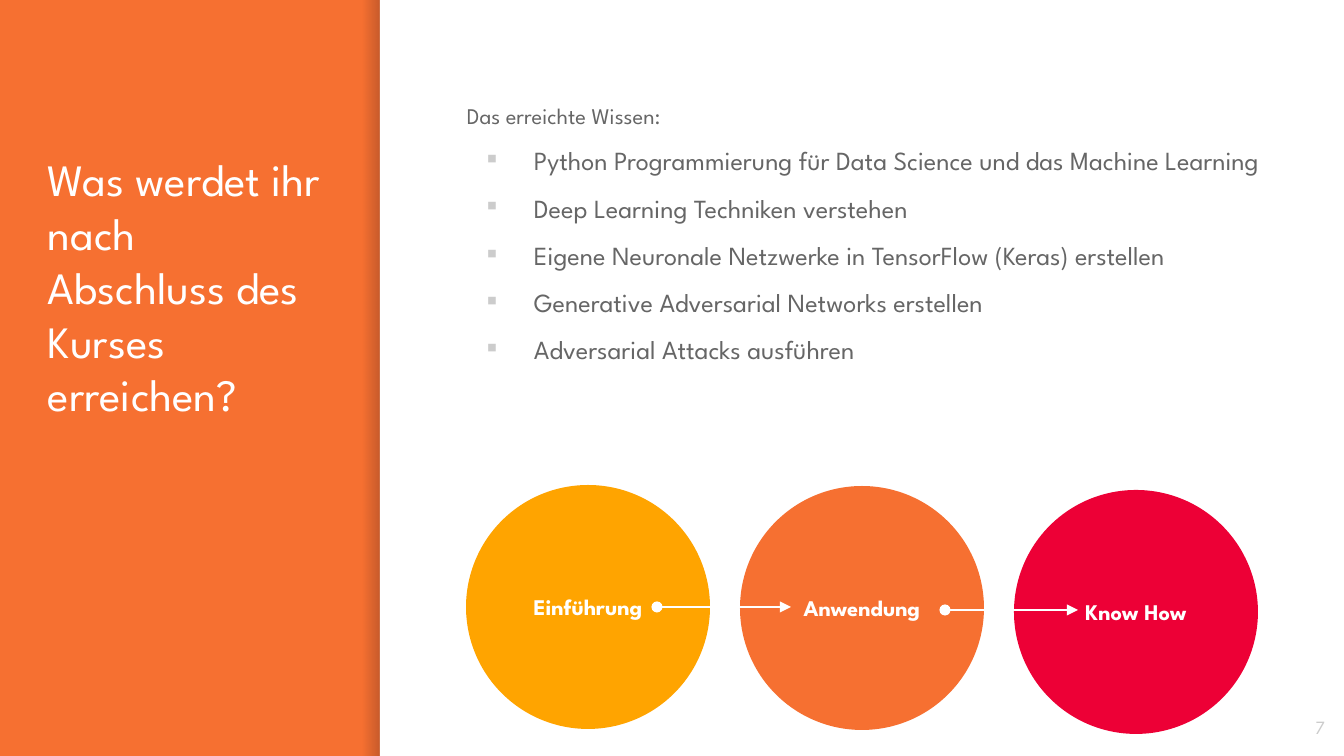
from dataclasses import dataclass

import pptx
import pptx.util
from lxml import etree
from pptx.dml.color import RGBColor
from pptx.enum.shapes import MSO_CONNECTOR, MSO_SHAPE
from pptx.enum.text import MSO_ANCHOR, PP_ALIGN
from pptx.oxml.ns import qn
from pptx.shapes.autoshape import Shape
from pptx.slide import Slide
from pptx.text.text import TextFrame, _Paragraph

WIDE, HIGH = 1344, 756
SCALE = 9144000 / WIDE
FONT = "League Spartan"
COLORS = {
    "orange": "F67031",
    "amber": "FFA400",
    "red": "ED0036",
    "white": "FFFFFF",
    "text": "666666",
    "pale": "CCCCCC",
    "shade": "000014",
}
SIZE, STEP = 244, 274
TITLE = "Was werdet ihr nach Abschluss des Kurses erreichen?"
INTRO = "Das erreichte Wissen:"
GOALS = [
    "Python Programmierung für Data Science und das Machine Learning",
    "Deep Learning Techniken verstehen",
    "Eigene Neuronale Netzwerke in TensorFlow (Keras) erstellen",
    "Generative Adversarial Networks erstellen",
    "Adversarial Attacks ausführen",
]


@dataclass
class Box:
    left: int
    top: int
    width: int
    height: int


@dataclass
class Stage:
    label: str
    color: str
    top: int


@dataclass
class Arrow:
    start: int
    end: int
    y: int


STAGES = [
    Stage("Einführung", "amber", 485),
    Stage("Anwendung", "orange", 486),
    Stage("Know How", "red", 490),
]
ARROWS = [Arrow(657, 791, 607), Arrow(945, 1078, 610)]


def px(count: int) -> pptx.util.Emu:
    return pptx.util.Emu(round(count * SCALE))


def place(box: Box) -> tuple[pptx.util.Emu, ...]:
    return px(box.left), px(box.top), px(box.width), px(box.height)


def color(name: str) -> RGBColor:
    return RGBColor.from_string(COLORS[name])


def style(para: _Paragraph, size: int, name: str, bold: bool = False) -> None:
    for run in para.runs:
        run.font.name = FONT
        run.font.size = pptx.util.Pt(size)
        run.font.bold = bold
        run.font.color.rgb = color(name)


def setup(frame: TextFrame, anchor: MSO_ANCHOR) -> None:
    """Wrap the text and give it even insets."""
    frame.word_wrap = True
    frame.vertical_anchor = anchor
    frame.margin_left = frame.margin_right = px(13)
    frame.margin_top = frame.margin_bottom = px(13)


def add_text(slide: Slide, box: Box, text: str, size: int, name: str,
             anchor: MSO_ANCHOR = MSO_ANCHOR.TOP,
             align: PP_ALIGN = PP_ALIGN.LEFT) -> TextFrame:
    frame = slide.shapes.add_textbox(*place(box)).text_frame
    setup(frame, anchor)
    frame.text = text
    frame.paragraphs[0].alignment = align
    style(frame.paragraphs[0], size, name)
    return frame


def add_shape(slide: Slide, kind: MSO_SHAPE, box: Box, name: str) -> Shape:
    shape = slide.shapes.add_shape(kind, *place(box))
    shape.shadow.inherit = False
    shape.fill.solid()
    shape.fill.fore_color.rgb = color(name)
    shape.line.fill.background()
    return shape


def add_shade(slide: Slide, box: Box) -> None:
    """Draw a strip that darkens from clear to 20 % at its right edge."""
    shape = add_shape(slide, MSO_SHAPE.RECTANGLE, box, "shade")
    shape.fill.gradient()
    shape.fill.gradient_angle = 0
    for stop, alpha in zip(shape.fill.gradient_stops, (0, 20)):
        stop.color.rgb = color("shade")
        tone = list(shape.element.iter(qn("a:srgbClr")))[-1 if alpha else 0]
        etree.SubElement(tone, qn("a:alpha"), val=str(alpha * 1000))


def add_bullet(para: _Paragraph) -> None:
    props = para._p.get_or_add_pPr()
    props.set("marL", str(px(67)))
    props.set("indent", str(px(-47)))
    tint = etree.SubElement(props, qn("a:buClr"))
    etree.SubElement(tint, qn("a:srgbClr"), val=COLORS["pale"])
    etree.SubElement(props, qn("a:buFont"), typeface=FONT)
    etree.SubElement(props, qn("a:buChar"), char="▪")


def add_goals(slide: Slide) -> None:
    frame = add_text(slide, Box(454, 85, 823, 406), INTRO, 12, "text")
    frame.paragraphs[0].line_spacing = 1.15
    for goal in GOALS:
        para = frame.add_paragraph()
        para.text = goal
        add_bullet(para)
        para.line_spacing = 1.15
        para.space_before = pptx.util.Pt(6)
        style(para, 14, "text")


def add_stage(slide: Slide, stage: Stage, left: int) -> None:
    box = Box(left, stage.top, SIZE, SIZE)
    shape = add_shape(slide, MSO_SHAPE.OVAL, box, stage.color)
    frame = shape.text_frame
    setup(frame, MSO_ANCHOR.MIDDLE)
    frame.text = stage.label
    frame.paragraphs[0].alignment = PP_ALIGN.CENTER
    style(frame.paragraphs[0], 12, "white", bold=True)


def add_arrow(slide: Slide, arrow: Arrow) -> None:
    link = slide.shapes.add_connector(
        MSO_CONNECTOR.STRAIGHT,
        px(arrow.start), px(arrow.y), px(arrow.end), px(arrow.y))
    link.line.width = pptx.util.Pt(1.5)
    link.line.color.rgb = color("white")
    line = link.line._get_or_add_ln()
    etree.SubElement(line, qn("a:headEnd"), type="oval")
    etree.SubElement(line, qn("a:tailEnd"), type="triangle")
    etree.SubElement(link.element.spPr, qn("a:effectLst"))


def main() -> None:
    deck = pptx.Presentation()
    deck.slide_width, deck.slide_height = px(WIDE), px(HIGH)
    slide = deck.slides.add_slide(deck.slide_layouts[6])
    slide.background.fill.solid()
    slide.background.fill.fore_color.rgb = color("orange")

    add_shade(slide, Box(363, 0, 17, HIGH))
    panel = Box(380, 0, WIDE - 380, HIGH)
    add_shape(slide, MSO_SHAPE.RECTANGLE, panel, "white")
    add_text(slide, Box(35, 139, 301, 531), TITLE, 24, "white")
    add_goals(slide)
    add_text(slide, Box(1258, 698, 80, 58), "7", 10, "pale",
             MSO_ANCHOR.MIDDLE, PP_ALIGN.RIGHT)
    for index, stage in enumerate(STAGES):
        add_stage(slide, stage, 466 + index * STEP)
    for arrow in ARROWS:
        add_arrow(slide, arrow)
    deck.save("out.pptx")


if __name__ == "__main__":
    main()
